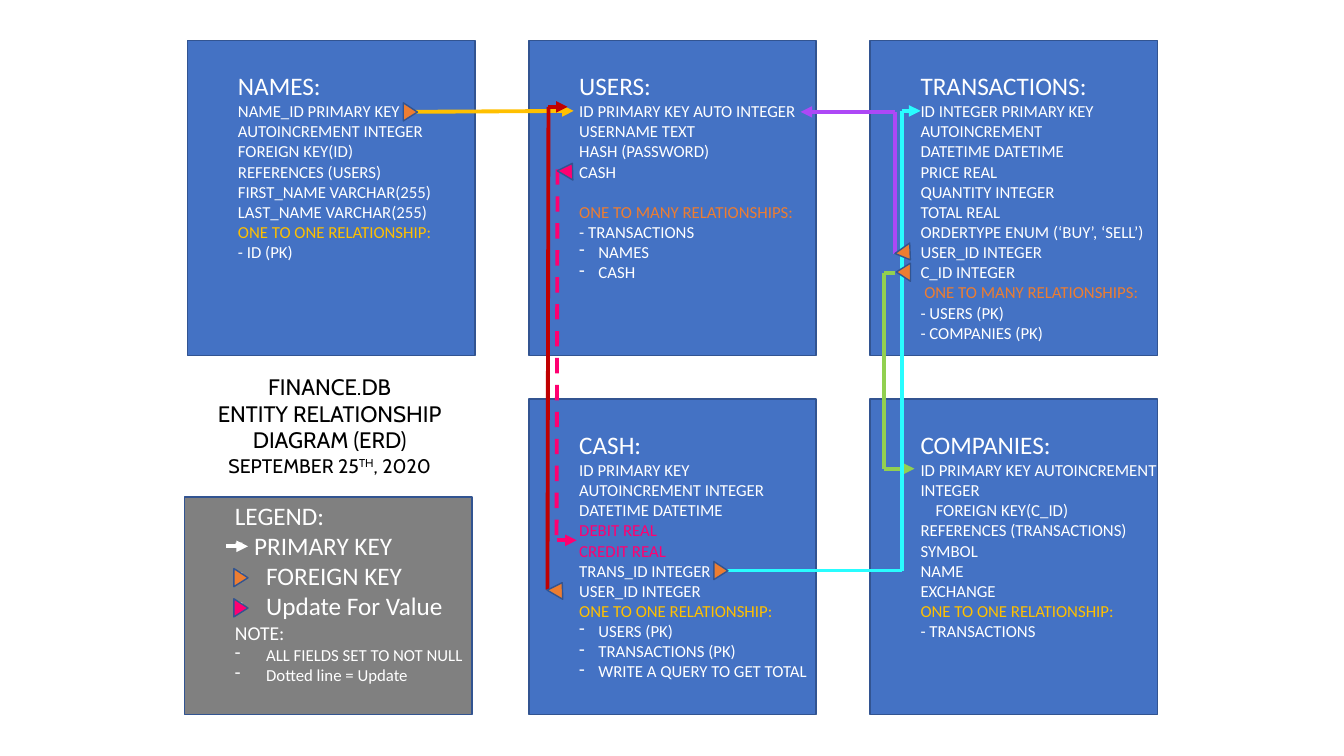
from itertools import pairwise
from pptx import Presentation, util as u
from pptx.dml.color import RGBColor
from pptx.enum import dml, shapes, text
from pptx.oxml.ns import qn
from lxml import etree

BLUE, GREY, EDGE, WHITE = "4472C4", "808080", "325491", "FFFFFF"
ORANGE, GOLD, PINK, PURPLE = "ED7D31", "FFC000", "FF0071", "AD48F6"
GREEN, CYAN, RED, BLACK = "92D050", "29FDFF", "C00000", "000000"

# Line styles: (margin, first-line indent, bullet)
PLAIN, NESTED, WIDE, INSET = (.5, 0, ""), (.69, -.19, "-"), (.81, -.31, "-"), (.5, .15, "")
ONE = ("ONE TO ONE RELATIONSHIP:", GOLD)
MANY = "ONE TO MANY RELATIONSHIPS:"

# Tables: (column, row, title, lines); a line is text or (text, colour, style, space before)
TABLES = [
    (0, 0, "NAMES:", [
        "NAME_ID PRIMARY KEY\vAUTOINCREMENT INTEGER", "FOREIGN KEY(ID)", "REFERENCES (USERS)",
        "FIRST_NAME VARCHAR(255)", "LAST_NAME VARCHAR(255)", ONE, "- ID (PK)"]),
    (1, 0, "USERS:", [
        "ID PRIMARY KEY AUTO INTEGER", "USERNAME TEXT", "HASH (PASSWORD)", "CASH",
        (MANY, ORANGE, PLAIN, 14.4), "- TRANSACTIONS",
        ("NAMES", WHITE, NESTED), ("CASH", WHITE, NESTED)]),
    (2, 0, "TRANSACTIONS:", [
        "ID INTEGER PRIMARY KEY\vAUTOINCREMENT", "DATETIME DATETIME", "PRICE REAL",
        "QUANTITY INTEGER", "TOTAL REAL", "ORDERTYPE ENUM (‘BUY’, ‘SELL’)",
        "USER_ID INTEGER", "C_ID INTEGER", ("\u00a0" + MANY, ORANGE),
        "- USERS (PK)", "- COMPANIES (PK)"]),
    (1, 1, "CASH:", [
        "ID PRIMARY KEY\vAUTOINCREMENT INTEGER", "DATETIME DATETIME", ("DEBIT REAL", PINK),
        ("CREDIT REAL", PINK), "TRANS_ID INTEGER", "USER_ID INTEGER", ONE,
        ("USERS (PK)", WHITE, NESTED), ("TRANSACTIONS (PK)", WHITE, NESTED),
        ("WRITE A QUERY TO GET TOTAL", WHITE, NESTED)]),
    (2, 1, "COMPANIES:", [
        "ID PRIMARY KEY AUTOINCREMENT INTEGER",
        ("FOREIGN KEY(C_ID) REFERENCES (TRANSACTIONS)", WHITE, INSET),
        "SYMBOL", "NAME", "EXCHANGE", ONE, "- TRANSACTIONS"]),
]
LEGEND = [("LEGEND:", 18, PLAIN), ("PRIMARY KEY", 18, NESTED), ("FOREIGN KEY", 18, WIDE),
          ("Update For Value", 18, WIDE), ("NOTE:", 14, PLAIN),
          ("ALL FIELDS SET TO NOT NULL", 12, WIDE), ("Dotted line = Update", 12, WIDE)]
# Heading paragraphs: (size, runs)
HEADING = [(16, ["FINANCE.DB"]), (16, ["ENTITY RELATIONSHIP DIAGRAM (ERD)"]),
           (14, ["SEPTEMBER 25", "TH", ", 2020"])]

# Routes: (colour, points, arrow at the end, dashed)
ROUTES = [
    (GOLD, [(4, 1.11), (5.69, 1.1)], True, False),
    (PURPLE, [(8.88, 2.52), (8.88, 1.11), (7.94, 1.11)], True, False),
    (GREEN, [(8.88, 2.71), (8.77, 2.71), (8.77, 4.65), (9.07, 4.65)], True, False),
    (WHITE, [(2.24, 5.42), (2.46, 5.42)], True, False),
    (PINK, [(5.53, 1.68), (5.52, 5.36)], False, True),
    (PINK, [(5.52, 5.36), (5.72, 5.36)], True, False),
    (CYAN, [(7.16, 5.66), (8.95, 5.66), (8.95, 1.1), (9.13, 1.1)], True, False),
    (RED, [(5.43, 5.85), (5.44, 1.06), (5.63, 1.06)], True, False),
]
# Key markers: (left, top, rotation, colour)
MARKERS = [(2.3, 5.66, 90, ORANGE), (2.3, 5.96, 90, PINK), (3.98, 1.04, 90, ORANGE),
           (7.06, 5.59, 90, ORANGE), (5.55, 1.61, 30.6, PINK), (5.45, 5.77, 30.4, ORANGE),
           (8.9, 2.45, 144.6, ORANGE), (8.87, 2.63, 270, ORANGE)]

prs = Presentation()
prs.slide_width, prs.slide_height = u.Inches(13.33), u.Inches(7.5)
s = prs.slides.add_slide(prs.slide_layouts[6])


def rgb(value):
    return RGBColor.from_string(value)


def add_shape(kind, left, top, width, height, fill):
    sp = s.shapes.add_shape(kind, *map(u.Inches, (left, top, width, height)))
    sp.shadow.inherit = False
    sp.fill.solid()
    sp.fill.fore_color.rgb = rgb(fill)
    sp.line.color.rgb = rgb(EDGE)
    sp.line.width = u.Pt(1)
    return sp


def add_run(p, content, size, color, font="Calibri"):
    r = p.add_run()
    r.text = content
    r.font.size, r.font.name = u.Pt(size), font
    r.font.color.rgb = rgb(color)
    return r


def next_paragraph(tf):
    return tf.add_paragraph() if tf.paragraphs[0].runs else tf.paragraphs[0]


def add_line(tf, content, size, color=WHITE, style=PLAIN, before=0):
    p = next_paragraph(tf)
    p.alignment, p.space_before = text.PP_ALIGN.LEFT, u.Pt(before)
    margin, indent, bullet = style
    pPr = p._p.get_or_add_pPr()
    pPr.set("marL", str(u.Inches(margin)))
    pPr.set("indent", str(u.Inches(indent)))
    if bullet:
        etree.SubElement(pPr, qn("a:buChar"), char=bullet)
    for i, part in enumerate(content.split("\v")):
        if i:
            p.add_line_break()
        add_run(p, part, size, color)


def add_panel(left, top, height, fill, inset):
    sp = add_shape(shapes.MSO_SHAPE.RECTANGLE, left, top, BOX_W, height, fill)
    tf = sp.text_frame
    tf.word_wrap, tf.vertical_anchor = True, text.MSO_ANCHOR.TOP
    tf.margin_left = tf.margin_right = tf.margin_bottom = 0
    tf.margin_top = u.Inches(inset)
    return tf


# Database tables on a grid of three columns and two rows
LEFT, TOP, BOX_W, BOX_H, COL_STEP, ROW_STEP = 1.86, .4, 2.85, 3.13, 3.385, 3.56
for col, row, title, lines in TABLES:
    tf = add_panel(LEFT + col * COL_STEP, TOP + row * ROW_STEP, BOX_H, BLUE, .3)
    add_line(tf, title, 18)
    for line in lines:
        content, *look = (line,) if isinstance(line, str) else line
        add_line(tf, content, 12, *look)

# Legend
tf = add_panel(1.83, 4.93, 2.16, GREY, .03)
for content, size, style in LEGEND:
    add_line(tf, content, size, style=style)

# Heading
tf = s.shapes.add_textbox(*map(u.Inches, (1.83, 3.65, 2.88, 1.18))).text_frame
tf.word_wrap = True
for size, runs in HEADING:
    p = next_paragraph(tf)
    p.alignment = text.PP_ALIGN.CENTER
    for content in runs:
        r = add_run(p, content, size, BLACK, "Cabin")
        if content == "TH":
            r._r.get_or_add_rPr().set("baseline", "30000")

# Relationship lines
for color, points, arrow, dashed in ROUTES:
    for start, end in pairwise(points):
        c = s.shapes.add_connector(shapes.MSO_CONNECTOR.STRAIGHT, *map(u.Inches, start + end))
        c.line.color.rgb = rgb(color)
        c.line.width = u.Pt(2.75)
        if dashed:
            c.line.dash_style = dml.MSO_LINE.DASH
        if arrow and end == points[-1]:
            etree.SubElement(c.line._get_or_add_ln(), qn("a:tailEnd"), type="triangle")
        etree.SubElement(c._element.spPr, qn("a:effectLst"))

# Key markers
for left, top, rotation, color in MARKERS:
    sp = add_shape(shapes.MSO_SHAPE.ISOSCELES_TRIANGLE, left, top, .18, .14, color)
    sp.adjustments[0] = .51
    sp.rotation = rotation

prs.save("out.pptx")
